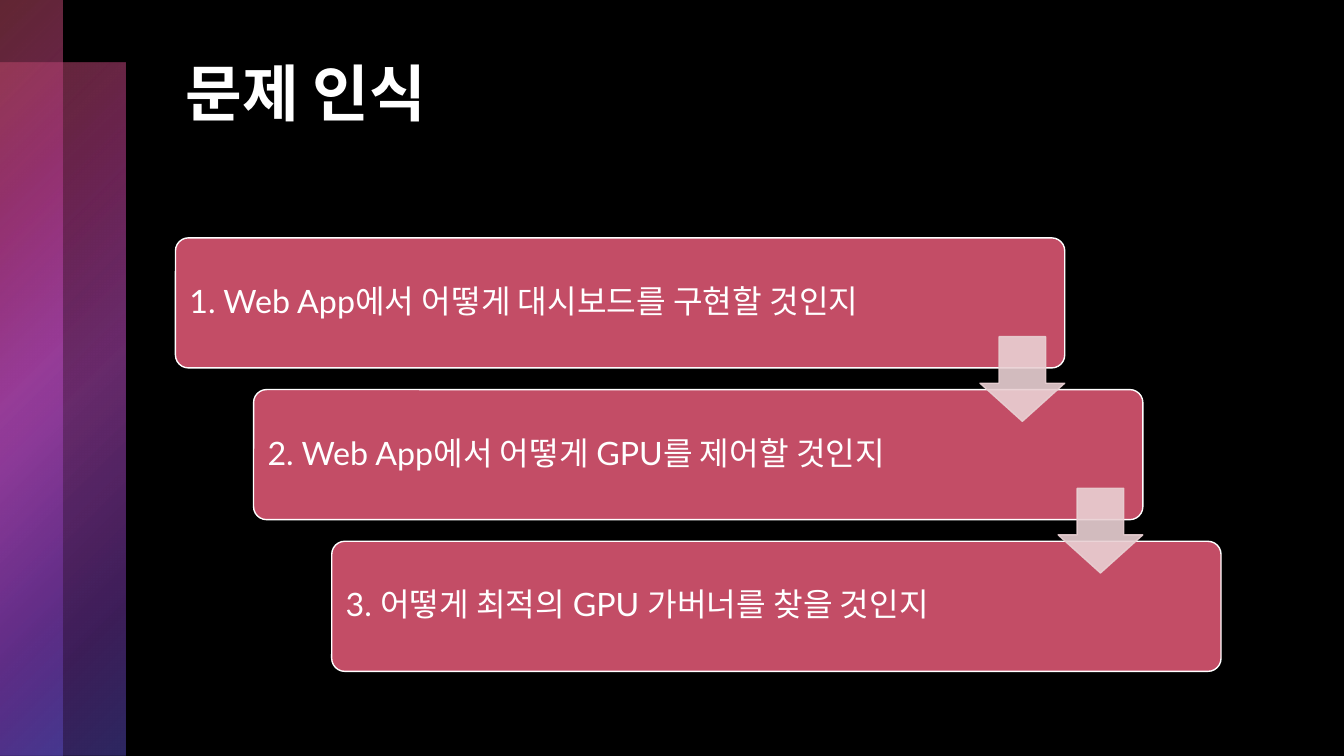
from lxml.etree import SubElement
from pptx import Presentation
from pptx.dml.color import RGBColor
from pptx.enum.shapes import MSO_SHAPE
from pptx.enum.text import MSO_ANCHOR
from pptx.oxml.ns import qn
from pptx.util import Inches, Pt

BLACK = RGBColor(0x00, 0x00, 0x00)
WHITE = RGBColor(0xFF, 0xFF, 0xFF)
ROSE = RGBColor(0xC3, 0x4D, 0x66)
MAGENTA = RGBColor(0xB1, 0x3B, 0x86)
ORCHID = RGBColor(0xBD, 0x4D, 0xC3)
PURPLE = RGBColor(0x7A, 0x3B, 0xB1)
INDIGO = RGBColor(0x5A, 0x4D, 0xC3)
PALE_PINK = RGBColor(0xE9, 0xD0, 0xD3)

FONT = "Lato"
# Position, colour and opacity, all in percent
BAND_STOPS = [(0, ROSE, 50), (25, MAGENTA, 60), (50, ORCHID, 55),
              (81, PURPLE, 50), (99, INDIGO, 50)]

# Each question with the width of its text area
QUESTIONS = [
    ("1. Web App에서 어떻게 대시보드를 구현할 것인지", 7.43),
    ("2. Web App에서 어떻게 GPU를 제어할 것인지", 7.13),
    ("3. 어떻게 최적의 GPU 가버너를 찾을 것인지", 7.13),
]
LEFT, TOP = 1.74, 2.36
STEP_X, STEP_Y = 0.775, 1.505
BOX_W, BOX_H = 8.82, 1.29
TEXT_PAD = 0.04
ARROW_SIZE = 0.84
ARROW_DROP = 0.98


def add_shape(slide, kind, x, y, w, h):
    sp = slide.shapes.add_shape(kind, Inches(x), Inches(y), Inches(w), Inches(h))
    sp.shadow.inherit = False
    return sp


def add_opacity(color_element, percent):
    SubElement(color_element, qn("a:alpha"), val=str(percent * 1000))


def add_band(slide, x, y, w, h):
    """Translucent bar with a gradient radiating from its top left corner."""
    sp = add_shape(slide, MSO_SHAPE.RECTANGLE, x, y, w, h)
    sp.line.fill.background()
    sp.fill.gradient()
    grad = sp.fill._xPr.find(qn("a:gradFill"))
    for child in list(grad):
        grad.remove(child)
    stops = SubElement(grad, qn("a:gsLst"))
    for pos, color, opacity in BAND_STOPS:
        gs = SubElement(stops, qn("a:gs"), pos=str(pos * 1000))
        add_opacity(SubElement(gs, qn("a:srgbClr"), val=str(color)), opacity)
    radial = SubElement(grad, qn("a:path"), {"path": "circle"})
    SubElement(radial, qn("a:fillToRect"), r="100000", b="100000")


def add_text(slide, x, y, w, h, text, size, bold=False):
    tf = slide.shapes.add_textbox(Inches(x), Inches(y), Inches(w), Inches(h)).text_frame
    tf.word_wrap = True
    p = tf.paragraphs[0]
    r = p.add_run()
    r.text = text
    r.font.name = FONT
    r.font.size = Pt(size)
    r.font.bold = bold
    r.font.color.rgb = WHITE
    return tf


def add_question(slide, x, y, text, text_w):
    sp = add_shape(slide, MSO_SHAPE.ROUNDED_RECTANGLE, x, y, BOX_W, BOX_H)
    sp.adjustments[0] = 0.1
    sp.fill.solid()
    sp.fill.fore_color.rgb = ROSE
    sp.line.color.rgb = WHITE
    sp.line.width = Pt(1)
    tf = add_text(slide, x + TEXT_PAD, y + TEXT_PAD, text_w,
                  BOX_H - 2 * TEXT_PAD, text, 23)
    tf.vertical_anchor = MSO_ANCHOR.MIDDLE
    tf.margin_top = tf.margin_bottom = Inches(0.1)
    tf.paragraphs[0].line_spacing = 0.9


def add_arrow(slide, x, y):
    sp = add_shape(slide, MSO_SHAPE.DOWN_ARROW, x, y, ARROW_SIZE, ARROW_SIZE)
    sp.adjustments[0] = 0.55
    sp.adjustments[1] = 0.45
    sp.fill.solid()
    sp.fill.fore_color.rgb = PALE_PINK
    sp.line.color.rgb = PALE_PINK
    sp.line.width = Pt(1)
    for color in sp._element.spPr.iter(qn("a:srgbClr")):
        add_opacity(color, 90)


def main():
    prs = Presentation()
    prs.slide_width, prs.slide_height = Inches(13.33), Inches(7.5)
    s = prs.slides.add_slide(prs.slide_layouts[6])
    s.background.fill.solid()
    s.background.fill.fore_color.rgb = BLACK

    # Overlapping bands on the left edge
    add_band(s, 0, 0.62, 1.24, 6.88)
    add_band(s, 0, 0, 0.62, 7.5)

    # Title
    add_text(s, LEFT, 0.5, 10.37, 1.7, "문제 인식", 44, bold=True)

    # Staircase of questions
    for i, (text, text_w) in enumerate(QUESTIONS):
        add_question(s, LEFT + i * STEP_X, TOP + i * STEP_Y, text, text_w)

    # Arrows leading from each question to the next
    for i in range(len(QUESTIONS) - 1):
        add_arrow(s, LEFT + BOX_W - ARROW_SIZE + i * STEP_X,
                  TOP + ARROW_DROP + i * STEP_Y)

    prs.save("out.pptx")


if __name__ == "__main__":
    main()
